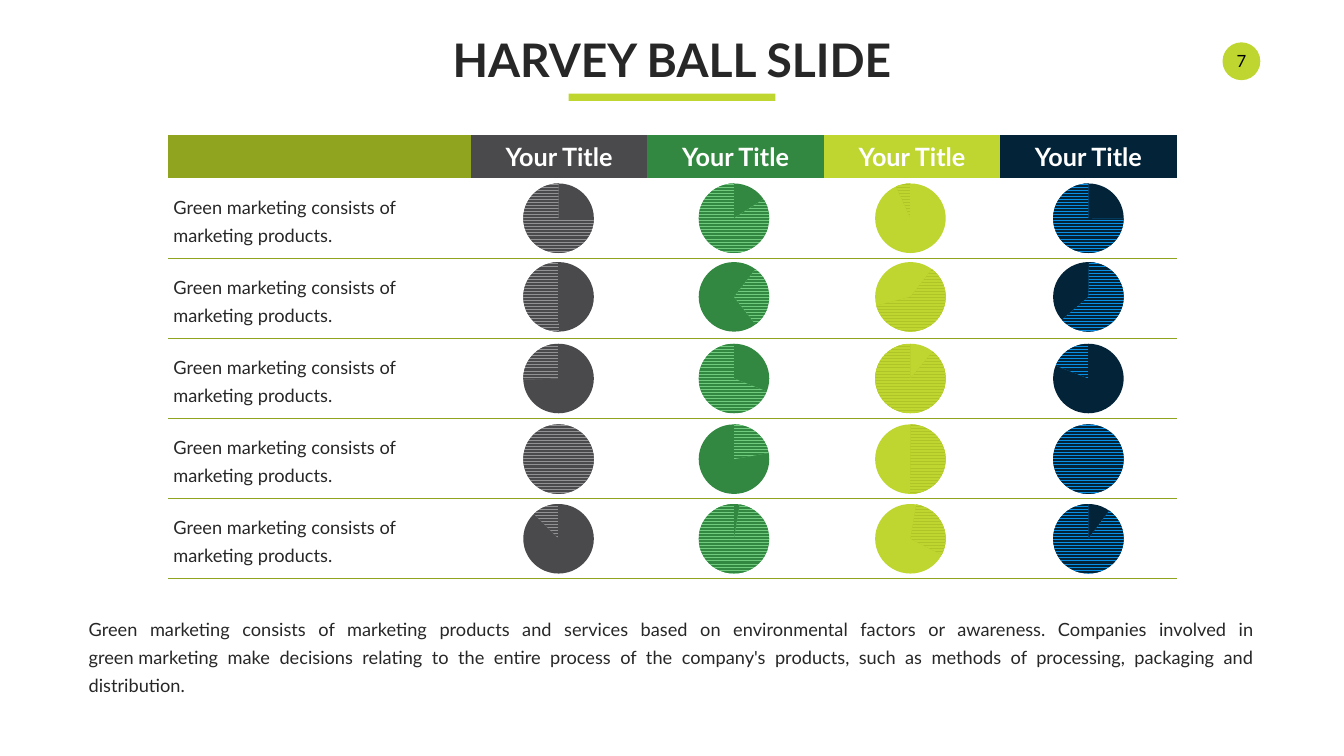
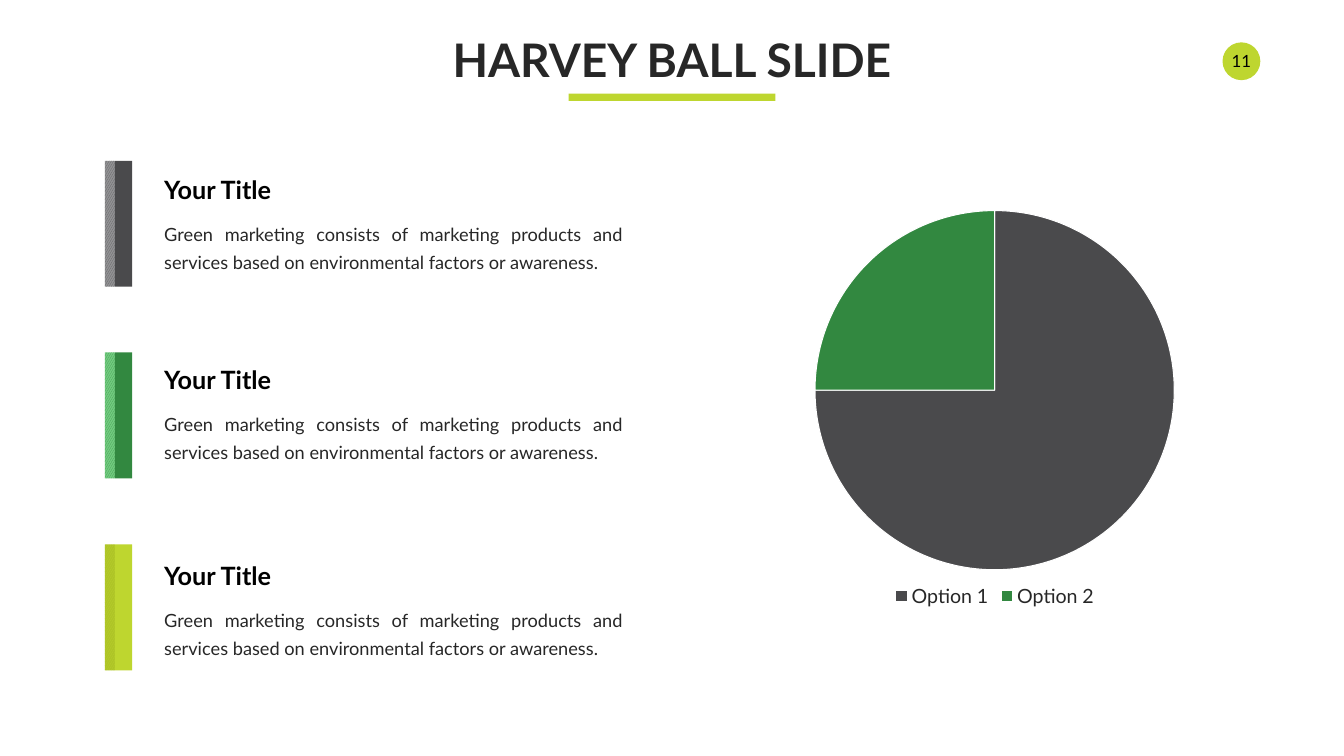
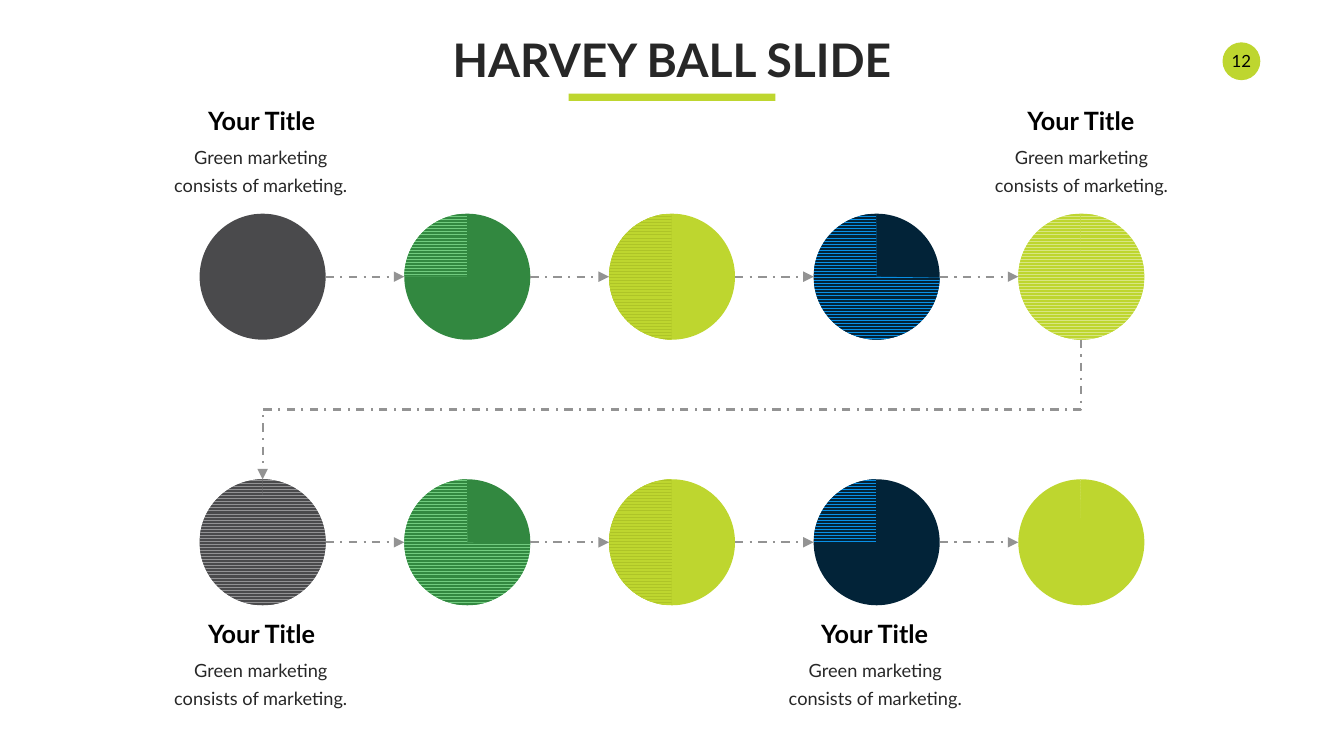
from lxml.etree import SubElement
from pptx import Presentation
from pptx.chart.data import CategoryChartData
from pptx.dml.color import RGBColor
from pptx.enum.chart import XL_CHART_TYPE as Chart, XL_LEGEND_POSITION as Legend
from pptx.enum.dml import MSO_LINE_DASH_STYLE as Dash, MSO_PATTERN_TYPE as Pattern
from pptx.enum.shapes import MSO_CONNECTOR as Connector, MSO_SHAPE as Shape
from pptx.enum.text import MSO_ANCHOR as Anchor, MSO_AUTO_SIZE as AutoSize, PP_ALIGN as Align
from pptx.oxml import parse_xml
from pptx.oxml.ns import nsdecls, qn
from pptx.util import Inches, Pt

WIDTH, HEIGHT = 26.66, 15
FONT = "Lato"
COLORS = {
    "gray": "4A4A4C", "green": "328840", "lime": "BED62F", "navy": "022338",
    "gray hatch": "929294", "green hatch": "71CB7F", "lime hatch": "AEC427",
    "navy hatch": "0890E7", "pale hatch": "D8E682", "olive": "91A420",
    "text": "272727", "black": "000000", "white": "FFFFFF", "arrow": "939393",
}
PLAIN_TABLE_STYLE = "{2D5ABB26-0587-4C30-8999-92F81FD0307C}"
NO_BREAK_SPACE = chr(160)

SLIDE_TITLE = "HARVEY BALL SLIDE"
ITEM_TITLE = "Your Title"
ROW_TEXT = "Green marketing consists of marketing products."
OPTION_TEXT = ("Green marketing consists of marketing products and services "
               "based on environmental factors or awareness.")
STEP_TEXT = "Green marketing consists of marketing."
SUMMARY = (f"{OPTION_TEXT} Companies involved in green{NO_BREAK_SPACE}marketing make decisions "
           "relating to the entire process of the company's products, such as methods of "
           "processing, packaging and distribution.")

# Hatched sectors as (start, end) angles in degrees, clockwise from the right
TABLE_SECTORS = {
    "gray": [(0, 270), (89.55, 270), (178.2, 270), (270.28, 270), (225.14, 270)],
    "green": [(327.12, 270), (307.89, 52.02), (21.51, 270), (270.28, 349.81), (279.64, 270)],
    "lime": [(245.57, 270), (307.89, 165.42), (309.58, 270), (270.28, 90.62), (279.64, 27.11)],
    "navy": [(0.31, 270), (270.73, 139.24), (201.42, 270), (270.28, 270.27), (306.52, 270)],
}
TABLE_BALL_LEFTS = [10.38, 13.86, 17.36, 20.89]
TABLE_BALL_TOPS = [3.64, 5.2, 6.82, 8.42, 10]
STEP_COLORS = [("gray", "gray hatch"), ("green", "green hatch"), ("lime", "lime hatch"),
               ("navy", "navy hatch"), ("lime", "pale hatch")]
STEP_ROWS = [
    (4.24, [(269.51, 269.56), (180.28, 269.56), (90.43, 269.56), (0.92, 269.56), (269.3, 268.57)]),
    (9.51, [(269.94, 269.56), (359.75, 269.56), (90.43, 269.56), (180.28, 269.56), (269.22, 269.56)]),
]
# Left of the title, left of the text, top
STEP_CAPTIONS = [(3.99, 3.26, 12.22), (16.15, 15.45, 12.22),
                 (20.24, 19.54, 2.04), (3.99, 3.26, 2.04)]
OPTIONS = [("gray", 3.19, 3.41), ("green", 6.99, 7.18), ("lime", 10.8, 11.06)]  # bar, title top
SHARES = [("Option 1", 75, "gray"), ("Option 2", 25, "green")]


def rgb(name):
    return RGBColor.from_string(COLORS[name])


def inches(*lengths):
    return [Inches(length) for length in lengths]


def paint(fill, color):
    fill.solid()
    fill.fore_color.rgb = rgb(color)


def add_shape(slide, kind, box, color, hatch=None, pattern=None):
    shape = slide.shapes.add_shape(kind, *inches(*box))
    shape.shadow.inherit = False
    shape.line.fill.background()
    if pattern is None:
        paint(shape.fill, color)
    else:
        shape.fill.patterned()
        shape.fill.pattern = pattern
        shape.fill.fore_color.rgb = rgb(color)
        shape.fill.back_color.rgb = rgb(hatch)
    return shape


def write(frame, text, size, color="text", bold=False, align=Align.LEFT, spacing=None):
    paragraph = frame.paragraphs[0]
    paragraph.alignment = align
    if spacing:
        paragraph.line_spacing = Pt(spacing)
    run = paragraph.add_run()
    run.text = text
    run.font.name = FONT
    run.font.size = Pt(size)
    run.font.bold = bold
    run.font.color.rgb = rgb(color)


def add_text(slide, box, text, size, wrap=True, anchor=Anchor.TOP, **style):
    frame = slide.shapes.add_textbox(*inches(*box)).text_frame
    frame.word_wrap = wrap
    frame.auto_size = AutoSize.SHAPE_TO_FIT_TEXT
    frame.vertical_anchor = anchor
    write(frame, text, size, **style)


def add_item_title(slide, left, top, align=Align.LEFT):
    add_text(slide, (left, top, 2.4, 0.71), ITEM_TITLE, 36, wrap=False,
             color="black", bold=True, align=align)


def add_body(slide, box, text, align=Align.JUSTIFY, **style):
    add_text(slide, box, text, 26, align=align, spacing=40, **style)


def add_harvey_ball(slide, box, color, hatch, sector):
    add_shape(slide, Shape.OVAL, box, color)
    pie = add_shape(slide, Shape.PIE, box, color, hatch, Pattern.ZIG_ZAG)
    for index, angle in enumerate(sector):
        pie.adjustments[index] = angle * 0.6


def add_arrow(slide, kind, start, end):
    arrow = slide.shapes.add_connector(kind, *inches(*start, *end))
    arrow.line.color.rgb = rgb("arrow")
    arrow.line.width = Pt(3)
    arrow.line.dash_style = Dash.DASH_DOT
    SubElement(arrow.line._get_or_add_ln(), qn("a:tailEnd"), type="triangle", w="lg", len="lg")
    SubElement(arrow._element.spPr, qn("a:effectLst"))
    return arrow


def add_slide(presentation, number):
    slide = presentation.slides.add_slide(presentation.slide_layouts[6])
    badge = add_shape(slide, Shape.OVAL, (24.25, 0.84, 0.75, 0.75), "lime")
    frame = badge.text_frame
    frame.margin_left = frame.margin_right = Inches(0.05)
    frame.vertical_anchor = Anchor.MIDDLE
    write(frame, str(number), 24, "black", align=Align.CENTER)
    add_text(slide, ((WIDTH - 8.91) / 2, 0.57, 8.91, 1.21), SLIDE_TITLE, 66,
             wrap=False, bold=True, align=Align.CENTER)
    add_shape(slide, Shape.RECTANGLE, ((WIDTH - 4.1) / 2, 1.86, 4.1, 0.14), "lime")
    return slide


def underline_cell(cell):
    border = parse_xml(
        f'<a:lnB {nsdecls("a")} w="12700"><a:solidFill>'
        f'<a:srgbClr val="{COLORS["olive"]}"/></a:solidFill></a:lnB>')
    cell._tc.get_or_add_tcPr().insert(0, border)


def build_table_slide(presentation):
    slide = add_slide(presentation, 7)
    table_height, header_height, row_count = 8.8, 0.86, len(TABLE_BALL_TOPS)
    row_height = (table_height - header_height) / row_count
    headers = ["olive", *TABLE_SECTORS]

    table = slide.shapes.add_table(row_count + 1, len(headers),
                                   *inches(3.34, 2.68, 20, table_height)).table
    table._tbl.tblPr.find(qn("a:tableStyleId")).text = PLAIN_TABLE_STYLE
    table.first_row = table.horz_banding = False
    for index, column in enumerate(table.columns):
        column.width = Inches(3.5 if index else 6)
    for index, row in enumerate(table.rows):
        row.height = Inches(row_height if index else header_height)
        for column, color in enumerate(headers):
            cell = row.cells[column]
            cell.vertical_anchor = Anchor.MIDDLE
            if index == 0:
                paint(cell.fill, color)
                if column:
                    write(cell.text_frame, ITEM_TITLE, 36, "white", True, Align.CENTER)
                continue
            cell.fill.background()
            underline_cell(cell)
            if column == 0:
                write(cell.text_frame, ROW_TEXT, 26, spacing=40)

    for left, (color, sectors) in zip(TABLE_BALL_LEFTS, TABLE_SECTORS.items()):
        for top, sector in zip(TABLE_BALL_TOPS, sectors):
            add_harvey_ball(slide, (left, top, 1.4, 1.38), color, f"{color} hatch", sector)
    add_body(slide, (1.66, 12.12, 23.33, 1.73), SUMMARY, anchor=Anchor.MIDDLE)


def add_share_chart(slide):
    data = CategoryChartData()
    data.categories = [name for name, _, _ in SHARES]
    data.add_series("Series 1", [share for _, share, _ in SHARES])
    chart = slide.shapes.add_chart(Chart.PIE, *inches(15.08, 4.04, 9.3, 8.1), data).chart
    chart.has_title = False
    chart.has_legend = True
    chart.legend.position = Legend.BOTTOM
    chart.legend.include_in_layout = False
    for font in (chart.font, chart.legend.font):
        font.name = FONT
        font.size = Pt(28)
        font.color.rgb = rgb("text")
    for index, (_, _, color) in enumerate(SHARES):
        point_format = chart.plots[0].series[0].points[index].format
        paint(point_format.fill, color)
        point_format.line.color.rgb = rgb("white")
        point_format.line.width = Pt(1.5)


def build_chart_slide(presentation):
    slide = add_slide(presentation, 11)
    add_share_chart(slide)
    for color, bar_top, title_top in OPTIONS:
        add_shape(slide, Shape.RECTANGLE, (2.08, bar_top, 0.2, 2.5), color,
                  f"{color} hatch", Pattern.LARGE_CONFETTI)
        add_shape(slide, Shape.RECTANGLE, (2.28, bar_top, 0.34, 2.5), color)
        add_body(slide, (3.16, title_top + 0.85, 9.3, 1.17), OPTION_TEXT)
        add_item_title(slide, 3.16, title_top)


def build_process_slide(presentation):
    slide = add_slide(presentation, 12)
    size, pitch, first_left = 2.5, 4.06, 3.96
    lefts = [first_left + column * pitch for column in range(len(STEP_COLORS))]
    centers = [left + size / 2 for left in lefts]

    for top, sectors in STEP_ROWS:
        for left, colors, sector in zip(lefts, STEP_COLORS, sectors):
            add_harvey_ball(slide, (left, top, size, size), *colors, sector)
        middle = top + size / 2
        for left, following in zip(lefts, lefts[1:]):
            add_arrow(slide, Connector.STRAIGHT, (left + size, middle), (following, middle))

    # The turn to the second row is an elbow rotated by 90 degrees about its middle
    start_y, end_y = STEP_ROWS[0][0] + size, STEP_ROWS[1][0]
    drop, span = end_y - start_y, centers[-1] - centers[0]
    middle_x, middle_y = (centers[0] + centers[-1]) / 2, (start_y + end_y) / 2
    turn = add_arrow(slide, Connector.ELBOW, (middle_x - drop / 2, middle_y - span / 2),
                     (middle_x + drop / 2, middle_y + span / 2))
    turn._element.spPr.find(qn("a:xfrm")).set("rot", str(90 * 60000))

    for title_left, text_left, top in STEP_CAPTIONS:
        add_item_title(slide, title_left, top, Align.CENTER)
        add_body(slide, (text_left, top + 0.69, 3.83, 1.17), STEP_TEXT, Align.CENTER)


def main():
    presentation = Presentation()
    presentation.slide_width, presentation.slide_height = inches(WIDTH, HEIGHT)
    build_table_slide(presentation)
    build_chart_slide(presentation)
    build_process_slide(presentation)
    presentation.save("out.pptx")


if __name__ == "__main__":
    main()
